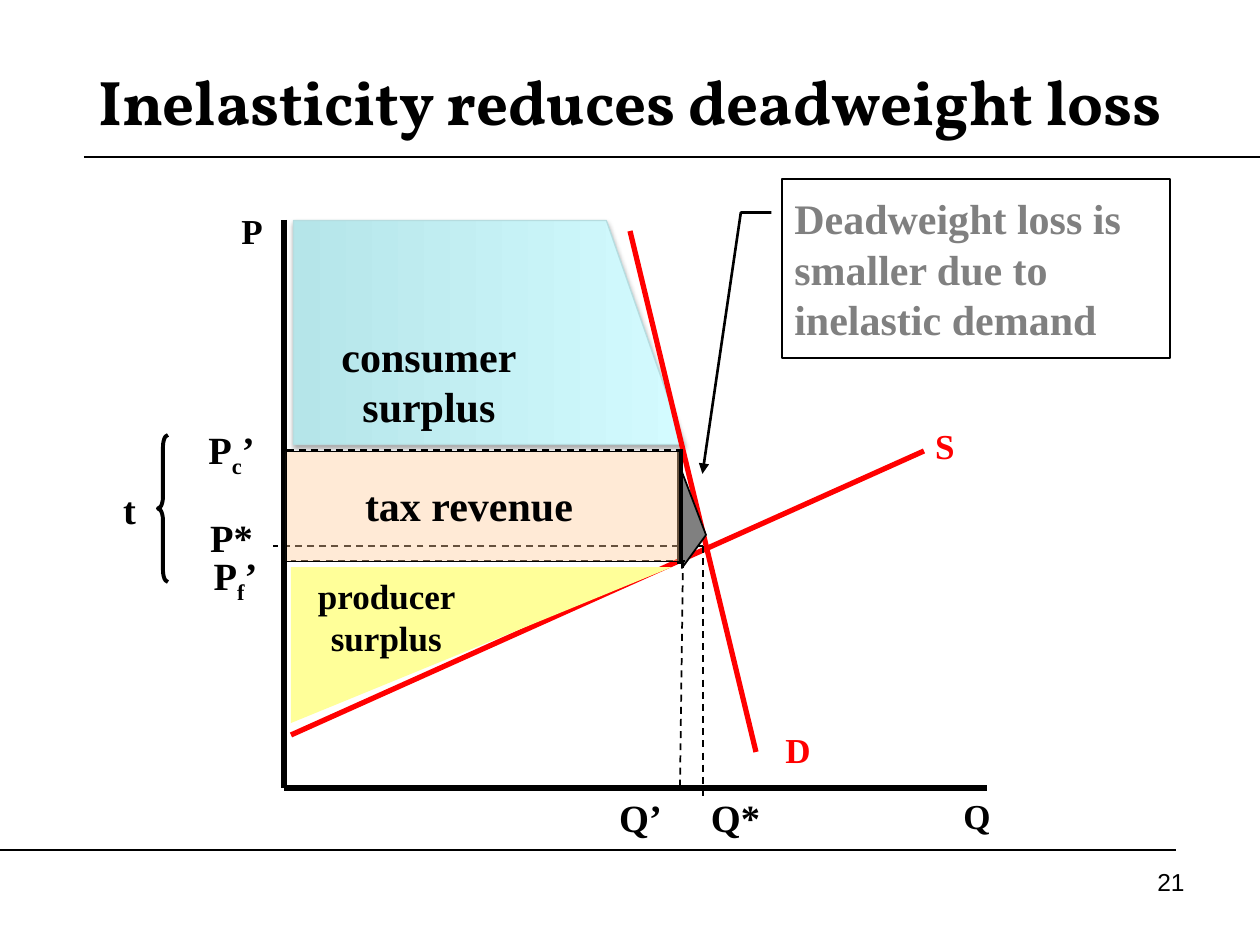
from dataclasses import dataclass

from lxml.etree import SubElement
from pptx import Presentation
from pptx.dml.color import RGBColor as RGB
from pptx.enum.dml import MSO_LINE
from pptx.enum.shapes import MSO_CONNECTOR as Conn, MSO_SHAPE as Kind
from pptx.enum.text import MSO_ANCHOR as Anchor, MSO_AUTO_SIZE as Auto, PP_ALIGN as Align
from pptx.oxml.ns import qn
from pptx.util import Emu, Pt

SCALE = 914400 / 126


@dataclass(frozen=True)
class Theme:
    """Colours, fonts and type sizes of the slide."""
    ink: str = "000000"
    curve: str = "FF0000"
    gray: str = "808080"
    cool: tuple = ("B5E5E9", "D3FBFF")
    edge: str = "B6DCDF"
    warm: str = "FFCC99"
    sun: str = "FFFF99"
    serif: str = "Times New Roman"
    sans: str = "Arial"
    head: str = "Vollkorn"
    title: int = 36
    area: int = 24
    mark: int = 22
    axis: int = 20
    page: int = 14


T = Theme()


def px(*vals):
    """Turn pixels into EMU."""
    return [Emu(round(v * SCALE)) for v in vals]


def style(frame, size, color=T.ink, font=T.serif, bold=True, align=Align.CENTER):
    """Format every run of a text frame."""
    for para in frame.paragraphs:
        para.alignment = align
        for run in para.runs:
            run.font.size, run.font.name, run.font.bold = Pt(size), font, bold
            run.font.color.rgb = RGB.from_string(color)


def label(slide, box, text, size, color=T.ink, sub="", tail="", **look):
    """Add a text box, with an optional subscript and what follows it."""
    frame = slide.shapes.add_textbox(*px(*box)).text_frame
    frame.word_wrap = True
    para = frame.paragraphs[0]
    para.text = text
    if sub:
        low = para.add_run()
        low.text = sub
        low.font._element.set("baseline", "-25000")
        para.add_run().text = tail
    style(frame, size, color, **look)


def line(slide, start, end, width=1, color=T.ink, dash=False):
    """Add a straight line."""
    item = slide.shapes.add_connector(Conn.STRAIGHT, *px(*start, *end))
    item.line.width = Pt(width)
    item.line.color.rgb = RGB.from_string(color)
    if dash:
        item.line.dash_style = MSO_LINE.DASH
    SubElement(item._element.spPr, qn("a:effectLst"))


def shape(slide, kind, box, fill=None, edge=None, width=1, turn=0, adj=()):
    """Add a preset shape with a plain fill and outline."""
    item = slide.shapes.add_shape(kind, *px(*box))
    item.shadow.inherit = False
    item.rotation = turn
    for i, val in enumerate(adj):
        item.adjustments[i] = val
    if fill:
        item.fill.solid()
        item.fill.fore_color.rgb = RGB.from_string(fill)
    else:
        item.fill.background()
    if edge:
        item.line.color.rgb = RGB.from_string(edge)
        item.line.width = Pt(width)
    else:
        item.line.fill.background()
    return item


def shade(item):
    """Give the consumer area its gradient and soft shadow."""
    item.fill.gradient()
    item.fill.gradient_angle = 90
    for stop, color in zip(item.fill.gradient_stops, T.cool):
        stop.color.rgb = RGB.from_string(color)
    effect = item._element.spPr.find(qn("a:effectLst"))
    cast = SubElement(effect, qn("a:outerShdw"), blurRad=str(Pt(3.1)),
                      dist=str(Pt(1.8)), dir="5400000", rotWithShape="0")
    tint = SubElement(cast, qn("a:srgbClr"), val=T.ink)
    SubElement(tint, qn("a:alpha"), val="35000")


def callout(slide, box, text):
    """Add the bordered note with its bent arrow."""
    note = shape(slide, Kind.LINE_CALLOUT_2, box, None, T.ink, 1.5,
                 adj=(0.188, -0.027, 0.188, -0.106, 1.648, -0.205))
    SubElement(note.line._get_or_add_ln(), qn("a:tailEnd"), type="triangle")
    frame = note.text_frame
    frame.word_wrap = True
    frame.vertical_anchor = Anchor.MIDDLE
    frame.text = text
    style(frame, T.area, T.gray, align=Align.LEFT)


def heading(slide, box, text):
    """Place and fill the title placeholder."""
    item = slide.shapes.title
    item.left, item.top, item.width, item.height = px(*box)
    frame = item.text_frame
    frame.text = text
    frame.auto_size = Auto.NONE
    frame.vertical_anchor = Anchor.MIDDLE
    style(frame, T.title, font=T.head)


def areas(slide):
    """Draw the producer area, the loss wedge and the tax edge."""
    gain = shape(slide, Kind.RIGHT_TRIANGLE, (291, 567, 381, 156), T.sun, turn=180)
    gain._element.spPr.find(qn("a:xfrm")).set("flipH", "1")
    label(slide, (297, 568, 179, 97), "producer surplus", T.axis)
    line(slide, (680, 450), (680, 564), 3)
    shape(slide, Kind.ISOSCELES_TRIANGLE, (646, 508, 96, 24), T.gray, T.ink,
          turn=90, adj=(0.656,))


def tax(slide):
    """Draw the see-through tax band and its brace."""
    band = shape(slide, Kind.RECTANGLE, (286, 451, 393, 110), T.warm, T.ink, 0.25)
    tint = band.fill._xPr.find(qn("a:solidFill"))[0]
    SubElement(tint, qn("a:alpha"), val="40000")
    label(slide, (338, 473, 262, 63), "tax revenue", T.area)
    shape(slide, Kind.LEFT_BRACE, (158, 435, 10, 147), None, T.ink, 2.25,
          adj=(1.167, 0.5))


def main():
    """Build the slide."""
    deck = Presentation()
    deck.slide_width, deck.slide_height = px(1260, 945)
    slide = deck.slides.add_slide(deck.slide_layouts[5])
    heading(slide, (63, 42, 1134, 116), "Inelasticity reduces deadweight loss")

    shade(shape(slide, Kind.FLOWCHART_MANUAL_INPUT, (377, 137, 224, 391),
                T.cool[0], T.edge, 0.75, turn=90))
    for start, end, width, color in (
            ((84, 157), (1260, 157), 0.75, T.ink),
            ((0, 850), (1176, 850), 0.75, T.ink),
            ((284, 220), (284, 788), 3, T.ink),
            ((987, 788), (284, 788), 3, T.ink),
            ((924, 451), (291, 735), 3, T.curve),
            ((630, 231), (756, 752), 3, T.curve)):
        line(slide, start, end, width, color)
    for x, y, text, color in ((935, 788, "Q", T.ink), (210, 203, "P", T.ink),
                              (756, 722, "D", T.curve), (903, 418, "S", T.curve)):
        label(slide, (x, y, 84, 54), text, T.axis, color)

    for end in ((273, 546), (703, 798)):
        line(slide, (703, 546), end, dash=True)
    label(slide, (324, 324, 210, 113), "consumer\vsurplus", T.area)
    areas(slide)
    callout(slide, (782, 179, 388, 179),
            "Deadweight loss is smaller due to inelastic demand")
    for start, end in (((683, 450), (284, 450)), ((685, 561), (291, 561)),
                       ((683, 561), (680, 789))):
        line(slide, start, end, dash=True)
    tax(slide)
    for x, y, text, sub, tail in (
            (179, 508, "P*", "", ""), (683, 788, "Q*", "", ""),
            (588, 788, "Q’", "", ""), (77, 480, "t", "", ""),
            (179, 420, "P", "c", "’"), (183, 546, "P", "f", "’")):
        label(slide, (x, y, 105, 59), text, T.mark, sub=sub, tail=tail)
    label(slide, (903, 861, 294, 66), "21", T.page, font=T.sans, bold=False,
          align=Align.RIGHT)
    deck.save("out.pptx")


main()
